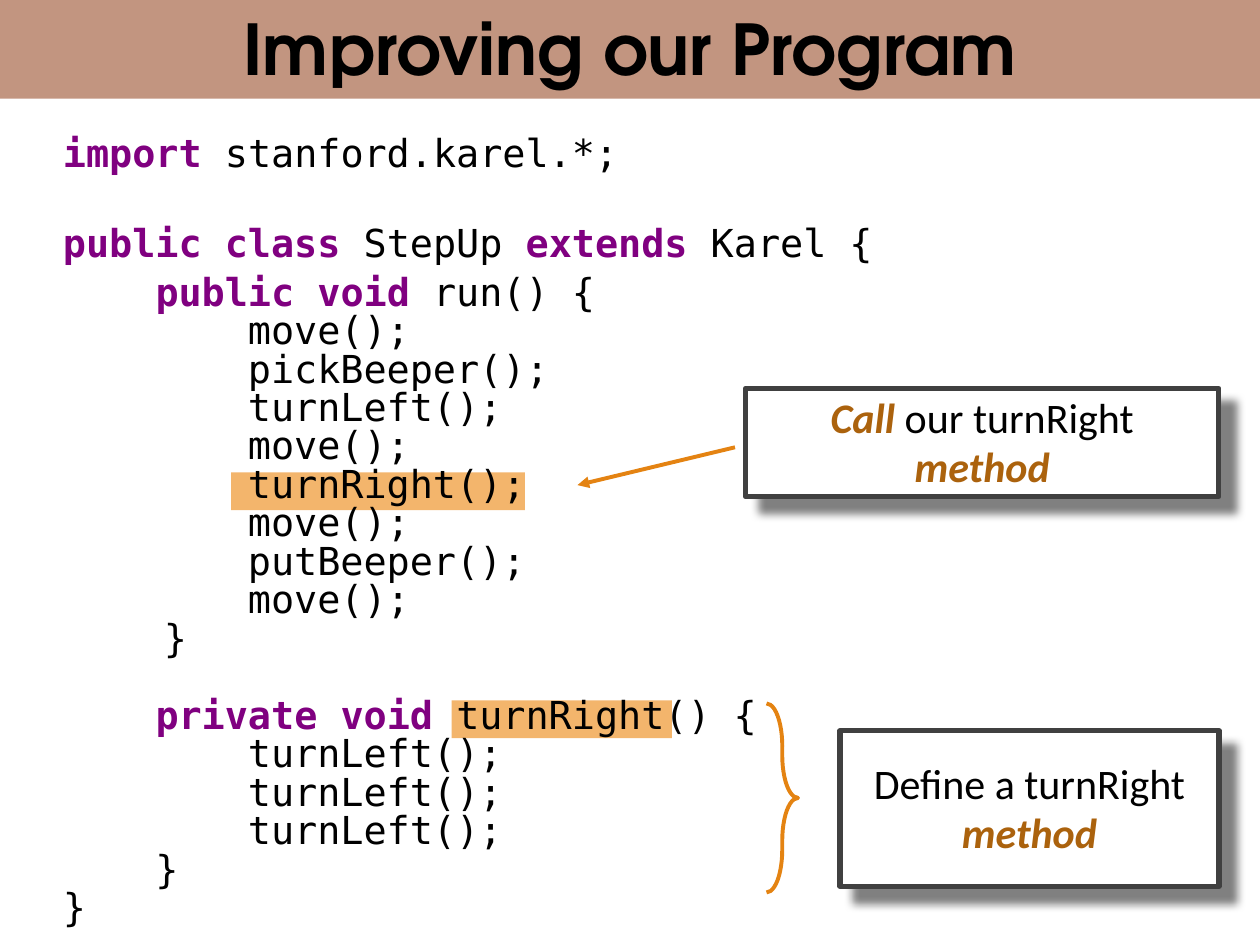
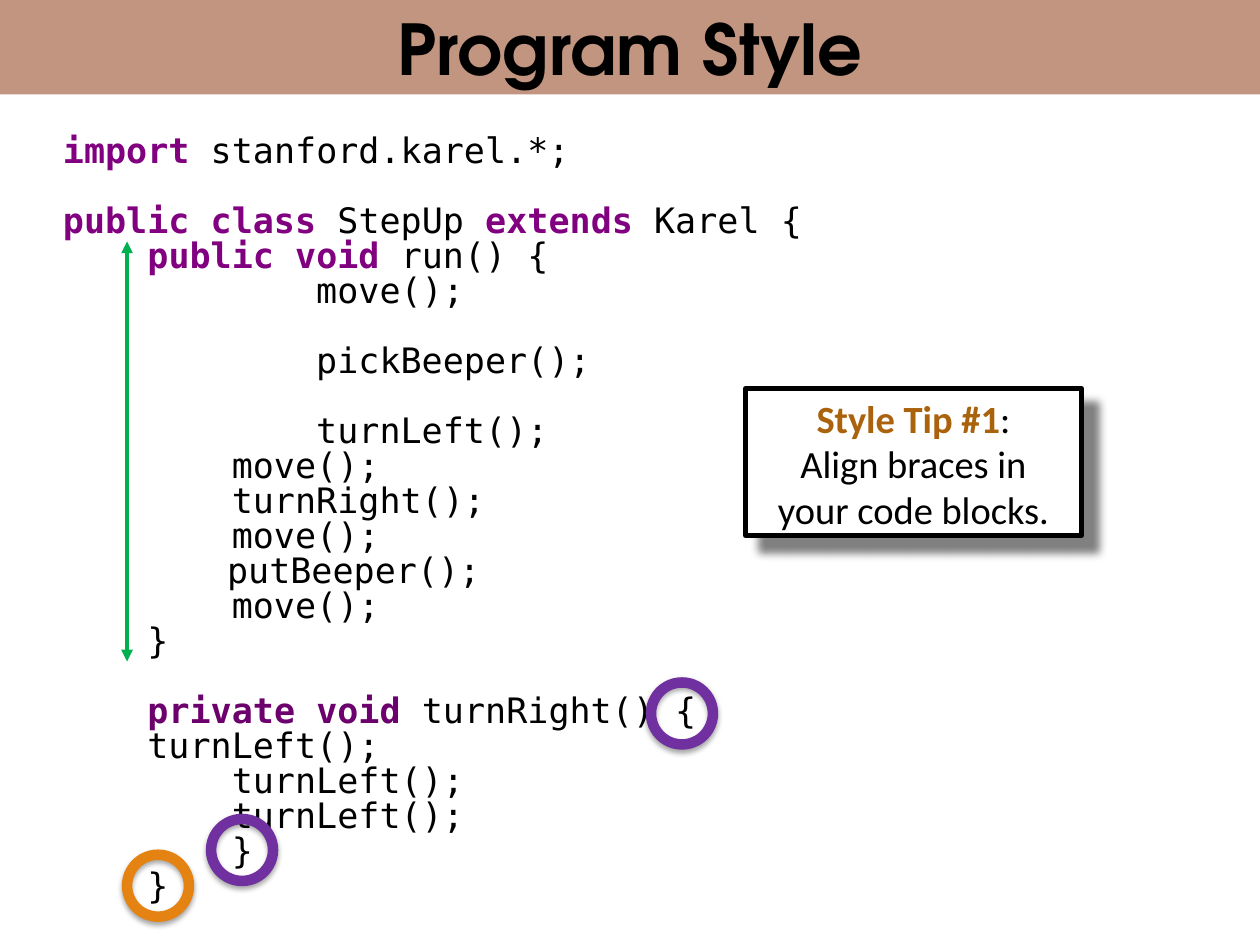
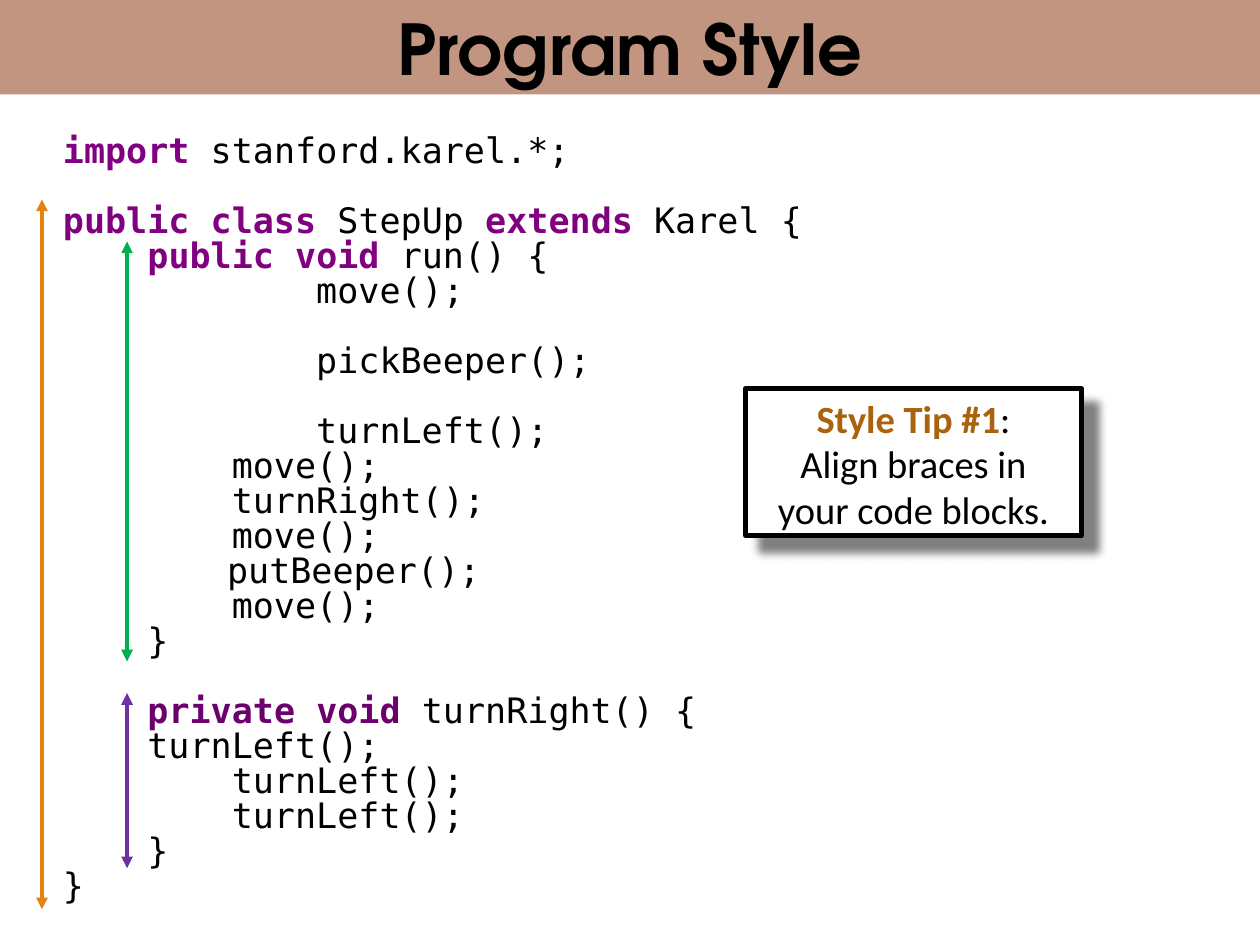
"""Build three slides about splitting a Java program into methods and aligning its braces."""
import dataclasses

import pptx
import pptx.dml.color
import pptx.enum.shapes
import pptx.enum.text
import pptx.oxml
import pptx.oxml.ns
import pptx.util

SHAPE = pptx.enum.shapes.MSO_SHAPE
ALIGN = pptx.enum.text.PP_ALIGN
ANCHOR = pptx.enum.text.MSO_ANCHOR
COLUMNS, ROWS = 120, 90


@dataclasses.dataclass(frozen=True)
class Theme:
    ink: str = "000000"
    paper: str = "FFFFFF"
    band: str = "C29580"
    keyword: str = "800080"
    dark_keyword: str = "6C006C"
    emphasis: str = "AB620D"
    highlight: str = "F3B56C"
    frame: str = "404040"
    orange: str = "E48312"
    green: str = "00B050"
    purple: str = "7030A0"
    title_font: str = "TeX Gyre Adventor"
    code_font: str = "DejaVu Sans Mono"
    note_font: str = "Calibri"
    title_size: int = 40
    note_size: int = 24
    tip_size: int = 22
    pointer_width: float = 2.25
    frame_width: float = 2.89
    ring_width: int = 6
    note_shadow: tuple = ("808080", 100, 5, 12, 45)
    ring_shadow: tuple = ("000000", 35, 3.1, 1.8, 90)


def assign(target, values):
    for name, value in values.items():
        setattr(target, name, value)


def rgb(color):
    return pptx.dml.color.RGBColor.from_string(color)


def add_element(parent, tag, **attributes):
    child = pptx.oxml.parse_xml(f"<a:{tag} {pptx.oxml.ns.nsdecls('a')}/>")
    for name, value in attributes.items():
        child.set(name, str(value))
    parent.append(child)
    return child


class Deck:
    def __init__(self, theme):
        self.theme = theme
        self.show = pptx.Presentation()
        assign(self.show, {"slide_width": pptx.util.Inches(10),
                           "slide_height": pptx.util.Inches(7.5)})
        self.slide = None

    def place(self, left, top, width, height):
        across, down = self.show.slide_width / COLUMNS, self.show.slide_height / ROWS
        return [round(n * step) for n, step in
                zip((left, top, width, height), (across, down, across, down))]

    def start(self, heading, top=0.0, height=9.0):
        theme = self.theme
        self.slide = self.show.slides.add_slide(self.show.slide_layouts[5])
        title = self.slide.shapes.title
        assign(title, dict(zip(("left", "top", "width", "height"),
                               self.place(0, top, COLUMNS, height))))
        self.paint(title, theme.band)
        self.frame(title.text_frame, ANCHOR.MIDDLE)
        self.typeset(title.text_frame.paragraphs[0], heading, theme.title_font,
                     theme.title_size, plain_bold=True, alignment=ALIGN.CENTER)

    def paint(self, shape, fill=None, line=None, width=0):
        if fill:
            shape.fill.solid()
            shape.fill.fore_color.rgb = rgb(fill)
        else:
            shape.fill.background()
        if line:
            shape.line.color.rgb = rgb(line)
            shape.line.width = pptx.util.Pt(width)
        else:
            shape.line.fill.background()

    def frame(self, text, anchor, **insets):
        assign(text, {"word_wrap": True, "vertical_anchor": anchor,
                      "auto_size": pptx.enum.text.MSO_AUTO_SIZE.NONE})
        assign(text, {f"margin_{side}": pptx.util.Inches(n) for side, n in insets.items()})

    def typeset(self, paragraph, marked, font, size, accent=None, italic=False,
                plain_bold=False, **layout):
        """Set text in which bars enclose the accented parts."""
        assign(paragraph, layout)
        for index, part in enumerate(marked.split("|")):
            accented = index % 2 == 1
            for number, words in enumerate(part.split("\n")):
                if number:
                    paragraph.add_line_break()
                if not words:
                    continue
                run = paragraph.add_run()
                run.text = words
                assign(run.font, {"name": font, "size": pptx.util.Pt(size),
                                  "bold": accented or plain_bold,
                                  "italic": accented and italic})
                run.font.color.rgb = rgb(accent if accented else self.theme.ink)

    def shape(self, kind, box, fill=None, line=None, width=0, shadow=None):
        shape = self.slide.shapes.add_shape(kind, *self.place(*box))
        shape.shadow.inherit = False
        self.paint(shape, fill, line, width)
        if shadow:
            color, alpha, blur, distance, angle = shadow
            effects = shape._element.spPr.find(pptx.oxml.ns.qn("a:effectLst"))
            outer = add_element(effects, "outerShdw", blurRad=int(pptx.util.Pt(blur)),
                                dist=int(pptx.util.Pt(distance)), dir=angle * 60000,
                                algn="ctr", rotWithShape=0)
            add_element(add_element(outer, "srgbClr", val=color), "alpha", val=alpha * 1000)
        return shape

    def highlight(self, left, top, width):
        self.shape(SHAPE.RECTANGLE, (left, top, width, 3.6), self.theme.highlight)

    def ring(self, left, top, color):
        self.shape(SHAPE.OVAL, (left, top, 5.9, 5.9), line=color,
                   width=self.theme.ring_width, shadow=self.theme.ring_shadow)

    def brace(self, *box):
        brace = self.shape(SHAPE.RIGHT_BRACE, box, line=self.theme.orange,
                           width=self.theme.pointer_width)
        brace.adjustments[0] = 1.35

    def arrow(self, start, end, color, ends=("tailEnd",)):
        points = self.place(*start, *end)
        arrow = self.slide.shapes.add_connector(
            pptx.enum.shapes.MSO_CONNECTOR.STRAIGHT, *points)
        arrow.line.color.rgb = rgb(color)
        arrow.line.width = pptx.util.Pt(self.theme.pointer_width)
        outline = arrow._element.spPr.find(pptx.oxml.ns.qn("a:ln"))
        for end_tag in ends:
            add_element(outline, end_tag, type="triangle")
        add_element(arrow._element.spPr, "effectLst")

    def span(self, column, top, bottom, color):
        self.arrow((column, top), (column, bottom), color, ("headEnd", "tailEnd"))

    def note(self, box, lines, size, line, anchor=ANCHOR.MIDDLE, italic=False):
        theme = self.theme
        note = self.shape(SHAPE.RECTANGLE, box, theme.paper, line,
                          theme.frame_width, theme.note_shadow)
        text = note.text_frame
        self.frame(text, anchor, left=0.12, top=0.07, right=0.12, bottom=0.06)
        for index, words in enumerate(lines):
            paragraph = text.add_paragraph() if index else text.paragraphs[0]
            self.typeset(paragraph, words, theme.note_font, size, theme.emphasis, italic,
                         alignment=ALIGN.CENTER, line_spacing=0.98)

    def code(self, top, size, listing, private_color):
        """Set code lines; a number in the listing is the space before the next line."""
        theme = self.theme
        text = self.slide.shapes.add_textbox(*self.place(6, top, 108, 77)).text_frame
        self.frame(text, ANCHOR.MIDDLE, left=0, top=0.05, right=0, bottom=0)
        gap, paragraph = 0, None
        for entry in listing:
            if isinstance(entry, int):
                gap = entry
                continue
            paragraph = text.paragraphs[0] if paragraph is None else text.add_paragraph()
            if "\t" in entry:
                tabs = add_element(paragraph._p.get_or_add_pPr(), "tabLst")
                add_element(tabs, "tab", pos=int(pptx.util.Inches(0.8)), algn="l")
            accent = private_color if "private" in entry else theme.keyword
            self.typeset(paragraph, entry, theme.code_font, size, accent,
                         line_spacing=pptx.util.Pt(size), space_before=pptx.util.Pt(gap))
            gap = 0


IMPORT = "|import |stanford.karel.*;"
CLASS = "|public class| StepUp |extends| Karel {"
RUN = "    |public void| run() {"
TURN_RIGHT = "    |private void |turnRight() {"

TIDY = [
    IMPORT, 29, CLASS, 6, RUN,
    *(f"        {step}();" for step in ("move", "pickBeeper", "turnLeft", "move",
                                        "turnRight", "move", "putBeeper", "move")),
    "\t}", 22, TURN_RIGHT, *["        turnLeft();"] * 3, "    }", "}",
]
RAGGED = [
    IMPORT, 20, CLASS, RUN,
    "            move();", 20,
    "            pickBeeper();", 20,
    "            turnLeft();",
    "        move();",
    "        turnRight();",
    "        move();",
    " \t   putBeeper();",
    "        move();",
    "    }", 20, TURN_RIGHT,
    "    turnLeft();", *["        turnLeft();"] * 2,
]


def improving_slide(deck):
    theme = deck.theme
    deck.start("Improving our Program", -0.4, 9.8)
    deck.highlight(22, 45, 28)
    deck.highlight(43, 66.7, 21)
    deck.code(12, 22, TIDY, theme.keyword)
    deck.note((80, 69.6, 36.1, 14.8), ["Define a turnRight |method"],
              theme.note_size, theme.frame, italic=True)
    deck.arrow((70, 42.6), (55, 46.2), theme.orange)
    deck.brace(73, 67, 3, 18)
    deck.note((71, 37, 45.1, 10.3), ["|Call| our turnRight |method"],
              theme.note_size, theme.frame, italic=True)


def style_slide(deck, closing):
    theme = deck.theme
    deck.start("Program Style")
    deck.code(10.8, 20, RAGGED + closing, theme.dark_keyword)
    deck.span(12.1, 23, 63, theme.green)
    deck.note((71, 37, 32, 14), ["|Style Tip #1|:", "Align braces in\nyour code blocks."],
              theme.tip_size, theme.ink, ANCHOR.TOP)


def main():
    deck = Deck(Theme())
    theme = deck.theme
    improving_slide(deck)

    style_slide(deck, ["        }", "    }"])
    for left, top, color in ((62, 65, theme.purple), (20.1, 78, theme.purple),
                             (12.1, 81.4, theme.orange)):
        deck.ring(left, top, color)

    style_slide(deck, ["    }", "}"])
    deck.span(12.1, 66, 82.7, theme.purple)
    deck.span(4, 19, 86.6, theme.orange)

    deck.show.save("out.pptx")


if __name__ == "__main__":
    main()
